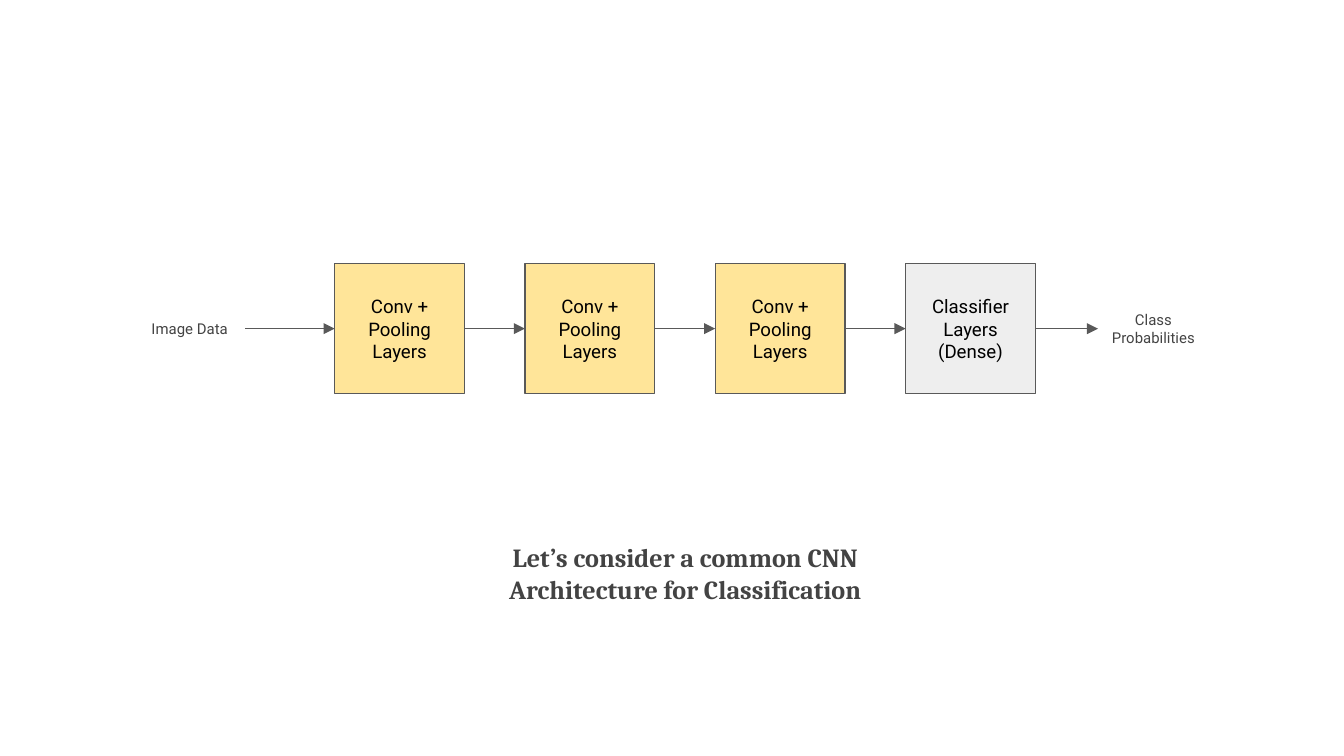
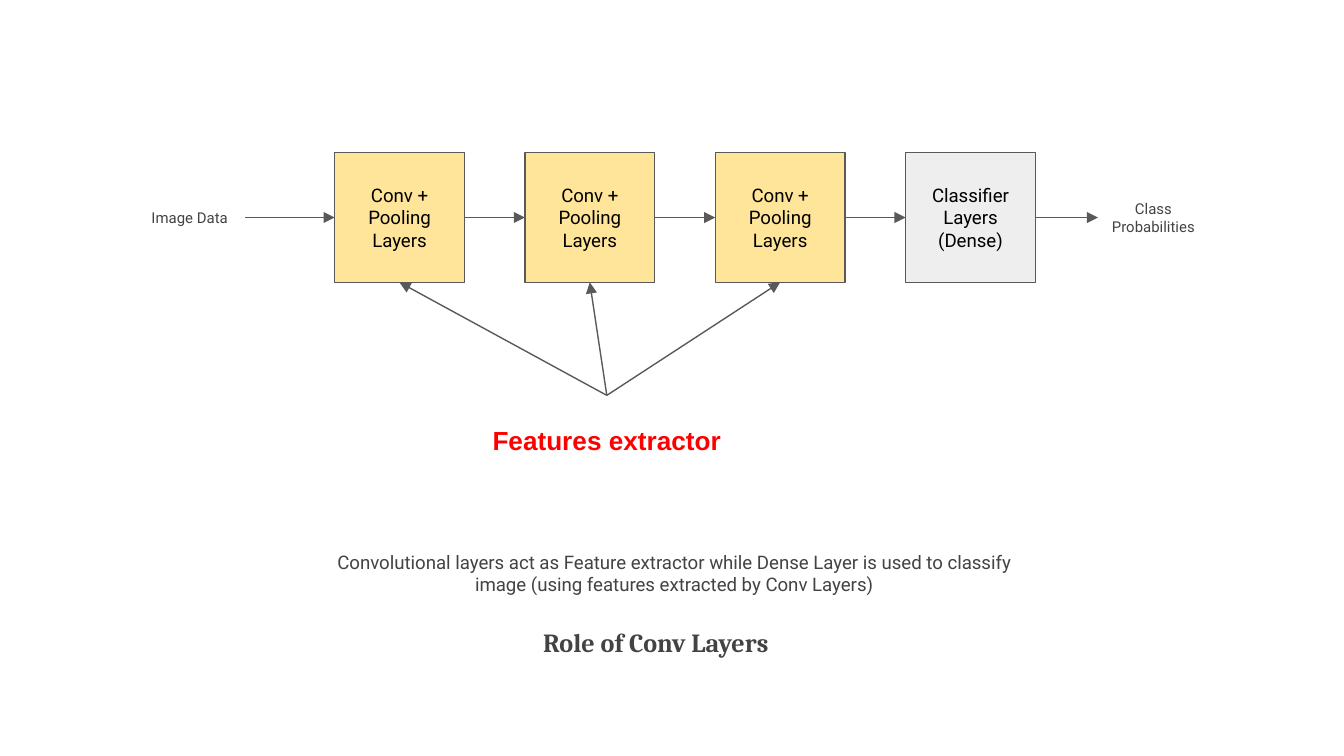
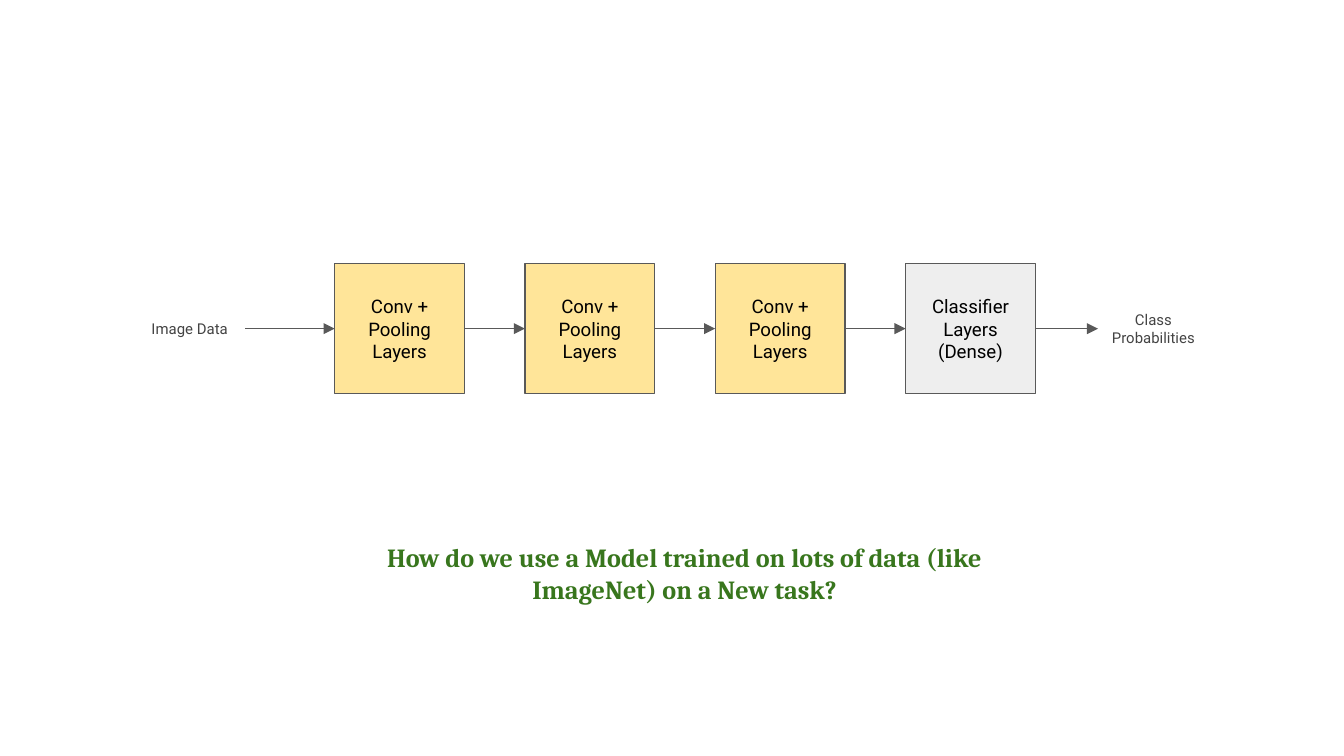
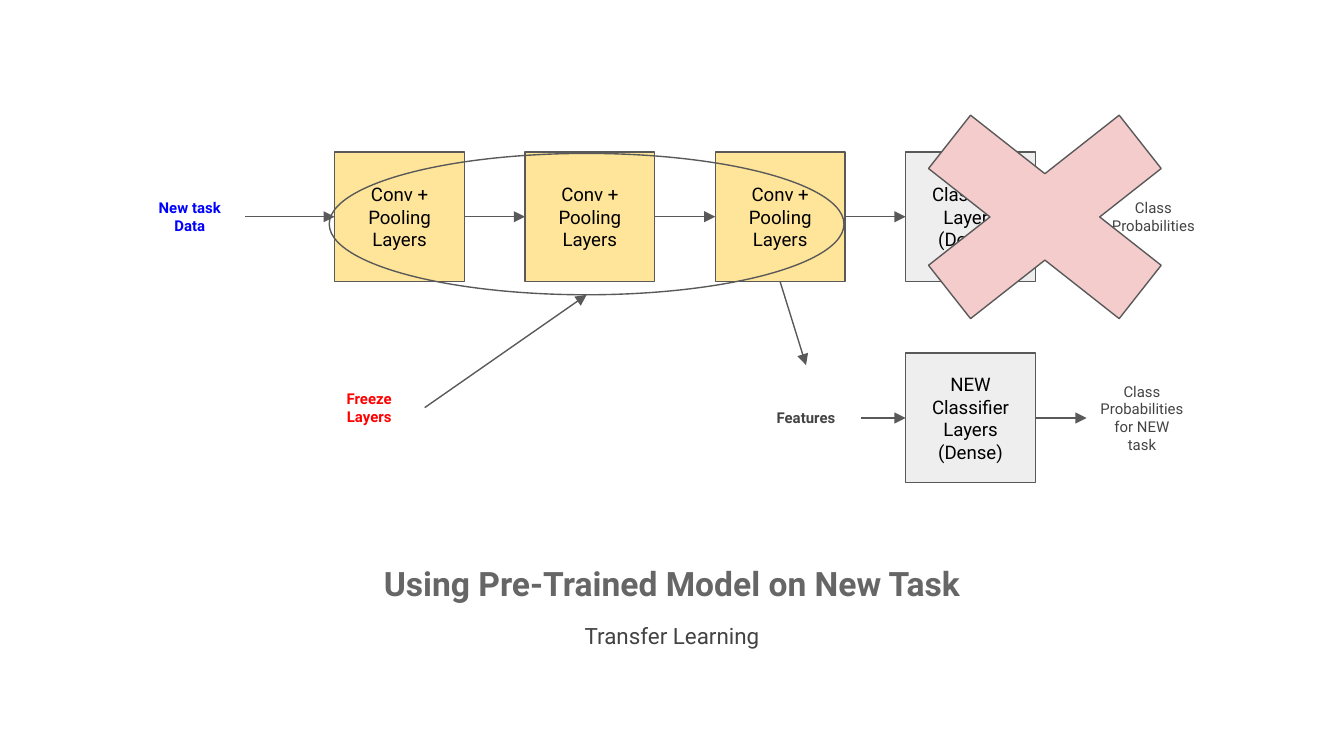
"""Build four slides on CNN architecture and transfer learning."""
from lxml import etree
from pptx import Presentation
from pptx.dml.color import RGBColor
from pptx.enum.shapes import MSO_CONNECTOR, MSO_SHAPE
from pptx.enum.text import MSO_ANCHOR, PP_ALIGN
from pptx.oxml.ns import qn
from pptx.util import Inches, Pt

RECTANGLE = MSO_SHAPE.RECTANGLE
ELLIPSE = MSO_SHAPE.OVAL
CROSS = MSO_SHAPE.MATH_MULTIPLY
STRAIGHT = MSO_CONNECTOR.STRAIGHT
MIDDLE = MSO_ANCHOR.MIDDLE
CENTER = PP_ALIGN.CENTER
TOP, LEFT, BOTTOM, RIGHT = range(4)
SIDE_SHARES = [(0.5, 0), (0, 0.5), (0.5, 1), (1, 0.5)]

COLORS = {
    "conv": "FFE599", "dense": "EEEEEE", "cross": "F4CCCC", "line": "595959",
    "black": "000000", "text": "434343", "title": "666666",
    "red": "FF0000", "green": "38761D", "blue": "0000FF",
}

deck = Presentation()
deck.slide_width, deck.slide_height = Inches(10), Inches(5.625)
COLUMN, ROW = deck.slide_width / 100, deck.slide_height / 100

STAGE_LEFT, STAGE_STEP = 24.9, 14.16
STAGE_WIDTH, STAGE_HEIGHT = 9.65, 17.15
LABEL_WIDTH = 8.25
CAPTION_TOP, CAPTION_HEIGHT = 68.62, 14.4
LINE_WIDTH = Pt(0.75)


def add_box(page, text, left, top, width, height, shape=None, fill=None,
            size=8, font="Roboto", color="text", bold=False):
    """Place a text box, or an outlined shape, on the grid of columns and rows."""
    area = [round(left * COLUMN), round(top * ROW), round(width * COLUMN), round(height * ROW)]
    if shape is None:
        box = page.shapes.add_textbox(*area)
    else:
        box = page.shapes.add_shape(shape, *area)
        box.shadow.inherit = False
        box.line.color.rgb = RGBColor.from_string(COLORS["line"])
        box.line.width = LINE_WIDTH
        if fill:
            box.fill.solid()
            box.fill.fore_color.rgb = RGBColor.from_string(COLORS[fill])
        else:
            box.fill.background()
    if not text:
        return box
    frame = box.text_frame
    frame.word_wrap = True
    frame.vertical_anchor = MIDDLE
    frame.margin_left = frame.margin_right = frame.margin_top = frame.margin_bottom = Inches(0.1)
    frame.text = text
    for para in frame.paragraphs:
        para.alignment = CENTER
        for span in para.runs:
            span.font.name, span.font.size, span.font.bold = font, Pt(size), bold
            span.font.color.rgb = RGBColor.from_string(COLORS[color])
    return box


def add_arrow(page, source, source_side, target, target_side, join_target=True):
    """Draw an arrow between the middles of two sides."""
    points = []
    for box, side in ((source, source_side), (target, target_side)):
        across, down = SIDE_SHARES[side]
        points += [round(box.left + across * box.width), round(box.top + down * box.height)]
    arrow = page.shapes.add_connector(STRAIGHT, *points)
    arrow.begin_connect(source, source_side)
    if join_target:
        arrow.end_connect(target, target_side)
    arrow.line.color.rgb = RGBColor.from_string(COLORS["line"])
    arrow.line.width = LINE_WIDTH
    etree.SubElement(arrow.line._get_or_add_ln(), qn("a:tailEnd"), type="triangle")
    etree.SubElement(arrow._element.spPr, qn("a:effectLst"))


stage_style = dict(shape=RECTANGLE, size=10, color="black")
heading_style = dict(size=14, font="Cambria", bold=True)
stages = [("Conv + Pooling Layers", "conv")] * 3 + [("Classifier\nLayers (Dense)", "dense")]
image_input = dict(text="Image Data")
new_input = dict(text="New task Data", color="blue", bold=True)

pages, pipelines = [], []
for stage_top, source_label in [(34.9, image_input), (20.2, image_input),
                                (34.9, image_input), (20.1, new_input)]:
    page = deck.slides.add_slide(deck.slide_layouts[6])
    label_area = dict(top=stage_top, width=LABEL_WIDTH, height=STAGE_HEIGHT)
    pipeline = [add_box(page, left=10, **label_area, **source_label)]
    for index, (name, fill) in enumerate(stages):
        pipeline.append(add_box(page, name, STAGE_LEFT + index * STAGE_STEP, stage_top,
                                STAGE_WIDTH, STAGE_HEIGHT, fill=fill, **stage_style))
    pipeline.append(add_box(page, "Class Probabilities", left=81.7, **label_area))
    for source, target in zip(pipeline, pipeline[1:]):
        add_arrow(page, source, RIGHT, target, LEFT)
    pages.append(page)
    pipelines.append(pipeline)

architecture, role, question, transfer = pages

add_box(architecture, "Let’s consider a common CNN Architecture for Classification",
        32.4, CAPTION_TOP, 37.2, CAPTION_HEIGHT, **heading_style)

add_box(role, "Convolutional layers act as Feature extractor while Dense Layer is used to "
        "classify image (using features extracted by Conv Layers)",
        24.1, CAPTION_TOP, 52.1, CAPTION_HEIGHT, size=10)
extractor = add_box(role, "Features extractor", 26.55, 52.3, 37.2, 11.7,
                    size=14, font="Arial", color="red", bold=True)
for conv in pipelines[1][1:4]:
    add_arrow(role, extractor, TOP, conv, BOTTOM)
add_box(role, "Role of Conv Layers", 30.2, 79.1, 37.2, 11.7, **heading_style)

add_box(question, "How do we use a Model trained on lots of data (like ImageNet) on a New task?",
        24.9, CAPTION_TOP, 52.1, CAPTION_HEIGHT, color="green", **heading_style)

title = add_box(transfer, "Using Pre-Trained Model on New Task\nTransfer Learning",
                20.9, 73.2, 58.2, 14, size=18, color="title", bold=True)
subtitle = title.text_frame.paragraphs[1]
subtitle.space_before = Pt(10)
subtitle_font = subtitle.runs[0].font
subtitle_font.size, subtitle_font.bold = Pt(12), False
subtitle_font.color.rgb = RGBColor.from_string(COLORS["text"])

cross = add_box(transfer, "", 64.1, 9.6, 27.3, 38.2, shape=CROSS, fill="cross")
cross.adjustments[0] = 0.235
new_top = 46.72
classifier = add_box(transfer, "NEW Classifier\nLayers (Dense)", STAGE_LEFT + 3 * STAGE_STEP,
                     new_top, STAGE_WIDTH, STAGE_HEIGHT, fill="dense", **stage_style)
result = add_box(transfer, "Class Probabilities for NEW task", 80.85, new_top,
                 LABEL_WIDTH, STAGE_HEIGHT)
features = add_box(transfer, "Features", 55.85, 48.3, LABEL_WIDTH, 14, bold=True)
add_arrow(transfer, classifier, RIGHT, result, LEFT)
add_arrow(transfer, pipelines[3][3], BOTTOM, features, TOP)
add_arrow(transfer, features, RIGHT, classifier, LEFT)

frozen = add_box(transfer, "", 24.5, 20.3, 38.3, 18.7, shape=ELLIPSE)
freeze = add_box(transfer, "Freeze Layers", 23.35, 45.35, LABEL_WIDTH, STAGE_HEIGHT,
                 color="red", bold=True)
add_arrow(transfer, freeze, RIGHT, frozen, BOTTOM, join_target=False)

deck.save("out.pptx")
